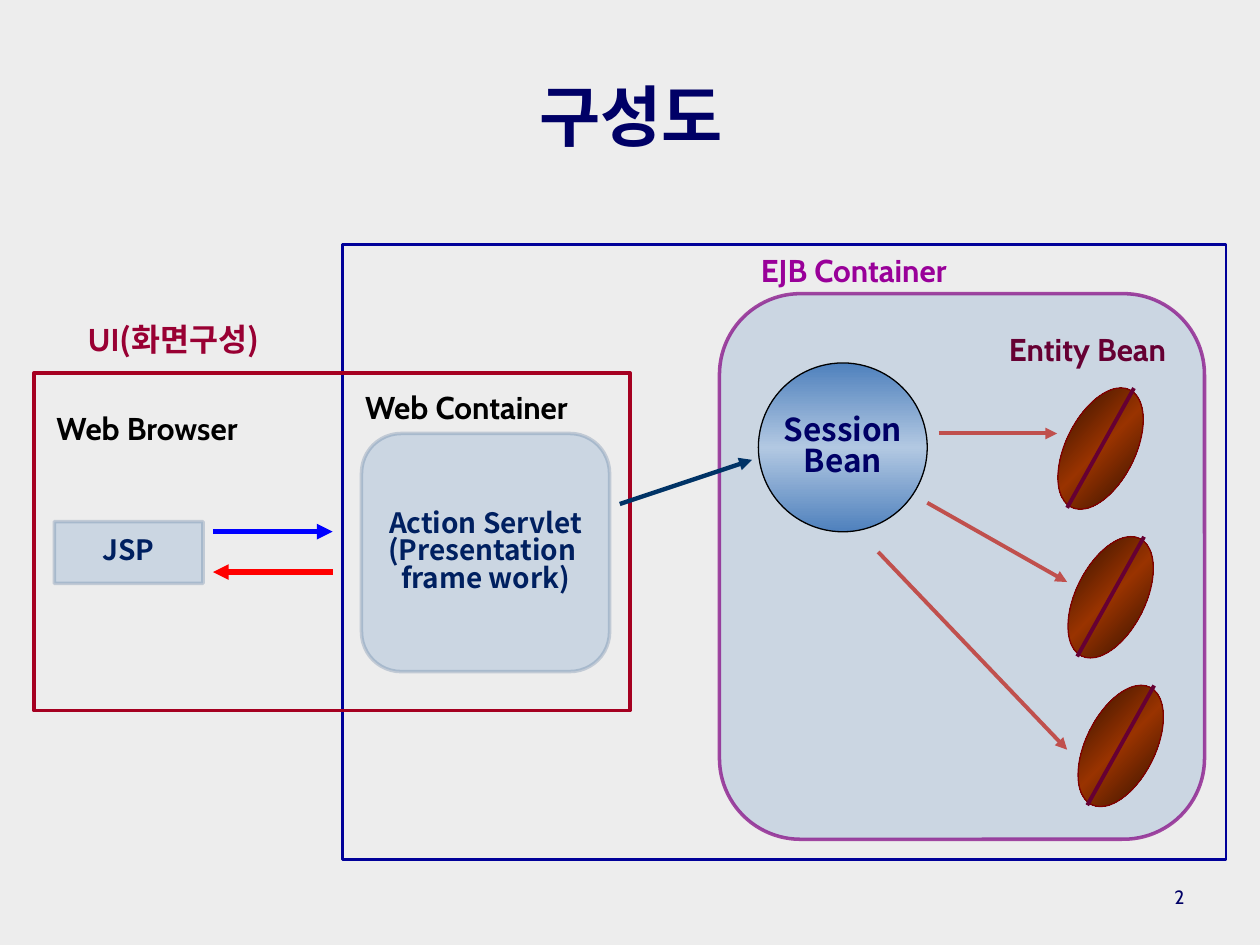
import pptx
import pptx.util
import pptx.dml.color
import pptx.enum.shapes
import pptx.enum.text
import pptx.oxml
import pptx.oxml.ns
import lxml.etree

Pt = pptx.util.Pt
RGB = pptx.dml.color.RGBColor.from_string
SHAPE = pptx.enum.shapes.MSO_SHAPE
ALIGN = pptx.enum.text.PP_ALIGN
ANCHOR = pptx.enum.text.MSO_ANCHOR
qn = pptx.oxml.ns.qn
LATIN, KOREAN = "Cabin", "Noto Sans CJK KR"
C = {
    "background": "EDEDED", "navy": "000066", "black": "000000",
    "panel": "4F81BD", "panel_edge": "385D8A", "panel_text": "002060",
    "shine": "B2C8E2", "app": "000099", "ui": "A50021", "ui_label": "990033",
    "ejb": "800080", "ejb_label": "990099", "entity": "660033",
    "bean": "993300", "bean_dark": "0D0400", "bean_edge": "800000",
    "request": "0000FF", "response": "FF0000", "call": "003366", "use": "C0504D",
}


def at(box, x, y, w, h):
    """Return a box placed relative to the corner of another box."""
    return box[0] + x, box[1] + y, w, h


def set_alpha(fill, percent):
    """Make a solid fill partly transparent."""
    color = fill._xPr.find(qn("a:solidFill"))[0]
    lxml.etree.SubElement(color, qn("a:alpha"), val=str(percent * 1000))


def set_gradient(sp, edge, middle, angle):
    """Fill a shape with a gradient that is the same at both ends."""
    stops = "".join(
        f'<a:gs pos="{pos}"><a:srgbClr val="{C[name]}"/></a:gs>'
        for pos, name in ((0, edge), (50000, middle), (100000, edge)))
    xml = (f'<a:gradFill {pptx.oxml.ns.nsdecls("a")} rotWithShape="1"><a:gsLst>{stops}'
           f'</a:gsLst><a:lin ang="{angle * 60000}" scaled="0"/></a:gradFill>')
    old = sp._element.spPr.find(qn("a:noFill"))
    old.getparent().replace(old, pptx.oxml.parse_xml(xml))


def add_text(sp, lines, size, color, font=LATIN, bold=True, align=ALIGN.LEFT,
             anchor=ANCHOR.TOP, wrap=True, inset=(7.2, 3.6), spacing=None):
    """Write lines into a shape; a line is a list of (text, font) runs or a string."""
    tf = sp.text_frame
    frame = {"word_wrap": wrap, "vertical_anchor": anchor,
             "margin_left": Pt(inset[0]), "margin_right": Pt(inset[0]),
             "margin_top": Pt(inset[1]), "margin_bottom": Pt(inset[1])}
    for name, value in frame.items():
        setattr(tf, name, value)
    for i, line in enumerate(lines):
        p = tf.add_paragraph() if i else tf.paragraphs[0]
        p.alignment = align
        if spacing:
            p.line_spacing = spacing
        for text, face in [(line, font)] if isinstance(line, str) else line:
            r = p.add_run()
            r.text = text
            for name, value in {"size": Pt(size), "bold": bold, "name": face}.items():
                setattr(r.font, name, value)
            r.font.color.rgb = RGB(C[color])
            lxml.etree.SubElement(r._r.get_or_add_rPr(), qn("a:ea"), typeface=face)


def add_label(s, box, line, size, color, **style):
    """Add a text box with one line."""
    add_text(s.shapes.add_textbox(*map(Pt, box)), [line], size, color, **style)


def add_shape(shapes, kind, box, line, width, fill=None, line_alpha=None):
    """Add an outlined shape, with a pale tint if a fill is named."""
    sp = shapes.add_shape(kind, *map(Pt, box))
    sp.shadow.inherit = False
    sp.line.color.rgb = RGB(C[line])
    sp.line.width = Pt(width)
    if fill:
        sp.fill.solid()
        sp.fill.fore_color.rgb = RGB(C[fill])
        set_alpha(sp.fill, 21)
    else:
        sp.fill.background()
    if line_alpha:
        set_alpha(sp.line.fill, line_alpha)
    return sp


def add_line(shapes, box, points, color, width, arrow=True):
    """Draw a straight line between two points relative to a box."""
    x1, y1, x2, y2 = points
    line = shapes.add_connector(
        pptx.enum.shapes.MSO_CONNECTOR.STRAIGHT, Pt(box[0] + x1), Pt(box[1] + y1),
        Pt(box[0] + x2), Pt(box[1] + y2))
    line.line.color.rgb = RGB(C[color])
    line.line.width = Pt(width)
    if arrow:
        lxml.etree.SubElement(line.line._get_or_add_ln(), qn("a:tailEnd"), type="triangle")
    lxml.etree.SubElement(line._element.spPr, qn("a:effectLst"))


def add_bean(s, box):
    """Draw one tilted bean with its seam as a group."""
    shapes = s.shapes.add_group_shape().shapes
    sp = add_shape(shapes, SHAPE.OVAL, box, "bean_edge", 0.75)
    set_gradient(sp, "bean_dark", "bean", 18)
    sp.rotation = 26.5
    add_line(shapes, box, (38.9, 2.9, 0.7, 71.3), "entity", 2.25, arrow=False)


def add_ejb(s, box):
    """Draw the EJB container with its session bean and entity beans."""
    sp = add_shape(s.shapes, SHAPE.ROUNDED_RECTANGLE, box, "ejb", 2, "panel", 69)
    sp.adjustments[0] = 0.167
    add_label(s, at(box, 16.6, -28.1, 181.4, 28.8), "EJB Container", 18, "ejb_label")
    add_label(s, at(box, 158.4, 17.2, 134.6, 28.8), "Entity Bean", 18, "entity")
    for i in range(3):
        add_bean(s, at(box, 198 + 5.76 * i, 51.1 + 84.96 * i, 39.6, 74.9))
    session = add_shape(s.shapes, SHAPE.OVAL, at(box, 22.3, 39.6, 96.5, 96.5), "black", 0.75)
    set_gradient(session, "panel", "shine", 90)
    add_text(session, ["Session", "Bean"], 18, "navy", font=KOREAN, align=ALIGN.CENTER,
             anchor=ANCHOR.MIDDLE, wrap=False, spacing=0.83)
    for points in ((125.3, 79.9, 193, 79.9), (118.8, 119.5, 198.7, 164.8),
                   (90.7, 147.6, 198.7, 260.6)):
        add_line(s.shapes, box, points, "use", 2.25)


def add_ui(s, box):
    """Draw the UI frame with the browser page and the web container."""
    add_shape(s.shapes, SHAPE.RECTANGLE, box, "ui", 2)
    labels = ((23.8, -33.8, [("UI", LATIN), ("(화면구성)", KOREAN)], "ui_label"),
              (5.8, 17.3, "Web Browser", "black"),
              (182.2, 5.1, "Web Container", "black"))
    for x, y, line, color in labels:
        add_label(s, at(box, x, y, 134.6, 28.8), line, 18, color)
    panels = ((SHAPE.RECTANGLE, (11.6, 85, 85, 35.3), ["JSP"]),
              (SHAPE.ROUNDED_RECTANGLE, (187.2, 34.6, 141.8, 136.1),
               ["Action Servlet", "(Presentation ", "frame work)"]))
    for kind, place, lines in panels:
        sp = add_shape(s.shapes, kind, at(box, *place), "panel_edge", 2, "panel", 24)
        add_text(sp, lines, 16, "panel_text", font=KOREAN, align=ALIGN.CENTER,
                 anchor=ANCHOR.MIDDLE, spacing=0.83)
    add_line(s.shapes, box, (102.3, 90.7, 170.7, 90.7), "request", 3)
    add_line(s.shapes, box, (170.7, 113.8, 102.3, 113.8), "response", 3)


def add_diagram(s, box):
    """Draw the application frame, its two regions and the call between them."""
    add_shape(s.shapes, SHAPE.RECTANGLE, box, "app", 1.5)
    add_ejb(s, at(box, 215.3, 28.1, 277.2, 311.8))
    add_ui(s, at(box, -176.4, 73.4, 340.6, 193))
    add_line(s.shapes, box, (158.4, 148.3, 234, 123.1), "call", 2.5)


def main():
    """Build the slide and save it."""
    prs = pptx.Presentation()
    prs.slide_width, prs.slide_height = Pt(720), Pt(540)
    s = prs.slides.add_slide(prs.slide_layouts[6])
    s.background.fill.solid()
    s.background.fill.fore_color.rgb = RGB(C["background"])
    add_label(s, (36.7, 15.1, 648, 73.4), "구성도", 38, "navy", font=KOREAN,
              align=ALIGN.CENTER, anchor=ANCHOR.BOTTOM, inset=(0, 0))
    add_diagram(s, (195.8, 139.7, 504.7, 351.4))
    add_label(s, (516.2, 502.6, 167.8, 26.6), "2", 11, "navy", bold=False,
              align=ALIGN.RIGHT)
    prs.save("out.pptx")


if __name__ == "__main__":
    main()
